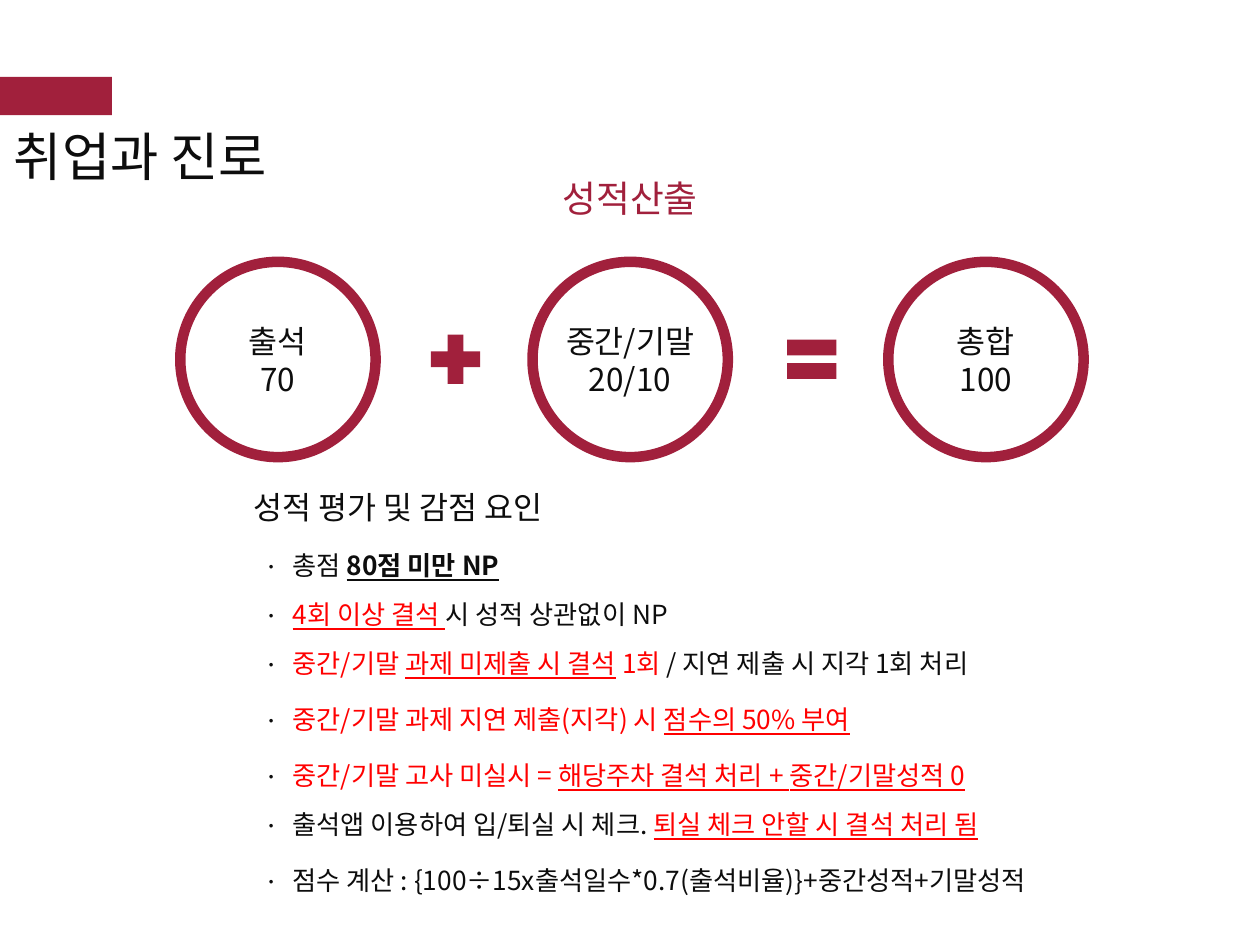
from lxml import etree
from pptx import Presentation
from pptx.dml.color import RGBColor
from pptx.enum.shapes import MSO_SHAPE
from pptx.enum.text import MSO_ANCHOR, MSO_AUTO_SIZE, PP_ALIGN
from pptx.oxml.ns import qn
from pptx.util import Pt

FONT = "Noto Sans CJK KR"
CRIMSON, INK, RED, WHITE = "A1203C", "0D0D0D", "FF0000", "FFFFFF"

CIRCLE_SIZE, CIRCLE_TOP = 111.6, 149.6
CIRCLES = [(103, "출석\n70"), (304.3, "중간/기말\n20/10"), (507.6, "총합\n100")]
OPERATOR_SIZE, OPERATOR_TOP = 38.2, 186.2
OPERATORS = [(241.2, MSO_SHAPE.MATH_PLUS), (444.8, MSO_SHAPE.MATH_EQUAL)]

# Each rule: space before, then spans of (text, colour, bold, underline)
RULES = [
    (0, [("총점 ", INK, False, False), ("80점 미만 NP", INK, True, True)]),
    (0, [("4회 이상 결석 ", RED, False, True),
         ("시 성적 상관없이 NP", INK, False, False)]),
    (0, [("중간/기말 ", RED, False, False),
         ("과제 미제출 시 결석", RED, False, True),
         (" 1회 ", RED, False, False),
         ("/ 지연 제출 시 지각 1회 처리", INK, False, False)]),
    (4, [("중간/기말 과제 지연 제출(지각) 시 ", RED, False, False),
         ("점수의 50% 부여", RED, False, True)]),
    (4, [("중간/기말 고사 미실시 = ", RED, False, False),
         ("해당주차 결석 처리 + 중간/기말성적 0", RED, False, True)]),
    (0, [("출석앱 이용하여 입/퇴실 시 체크. ", INK, False, False),
         ("퇴실 체크 안할 시 결석 처리 됨", RED, False, True)]),
    (4, [("점수 계산 : {100÷15x출석일수*0.7(출석비율)}+중간성적+기말성적",
          INK, False, False)]),
]


def rgb(value):
    return RGBColor.from_string(value)


def style_font(font, size, color, bold=False, underline=False):
    font.name = FONT
    font.size = Pt(size)
    font.bold = bold
    font.underline = underline
    font.color.rgb = rgb(color)


def style_span(span, *style):
    """Format a run, giving its East Asian text the same typeface."""
    style_font(span.font, *style)
    properties = span._r.get_or_add_rPr()
    etree.SubElement(properties, qn("a:ea")).set("typeface", FONT)


def write(box, text, size, color, align, line_spacing=None):
    frame = box.text_frame
    frame.text = text
    for para in frame.paragraphs:
        para.alignment = align
        para.line_spacing = line_spacing
        for span in para.runs:
            style_span(span, size, color)


def place(box, left, top, width, height):
    box.left, box.top = Pt(left), Pt(top)
    box.width, box.height = Pt(width), Pt(height)


def prepare_frame(box, anchor=MSO_ANCHOR.TOP, wrap=True):
    frame = box.text_frame
    frame.auto_size = MSO_AUTO_SIZE.NONE
    frame.vertical_anchor = anchor
    frame.word_wrap = wrap
    return frame


def add_label(page, text, left, top, width, height, *style):
    box = page.shapes.add_textbox(Pt(left), Pt(top), Pt(width), Pt(height))
    prepare_frame(box)
    write(box, text, *style)


def add_block(page, kind, left, top, width, height, fill=CRIMSON):
    shape = page.shapes.add_shape(kind, Pt(left), Pt(top), Pt(width), Pt(height))
    shape.shadow.inherit = False
    shape.fill.solid()
    shape.fill.fore_color.rgb = rgb(fill)
    shape.line.fill.background()
    return shape


def add_score_circle(page, left, text):
    circle = add_block(page, MSO_SHAPE.OVAL, left, CIRCLE_TOP,
                       CIRCLE_SIZE, CIRCLE_SIZE, WHITE)
    circle.line.color.rgb = rgb(CRIMSON)
    circle.line.width = Pt(6)
    prepare_frame(circle, MSO_ANCHOR.MIDDLE, wrap=False)
    write(circle, text, 18, INK, PP_ALIGN.CENTER, Pt(22))


def add_bullet(para, indent):
    properties = para._p.get_or_add_pPr()
    properties.set("marL", str(Pt(indent)))
    properties.set("indent", str(-Pt(indent)))
    color = etree.SubElement(properties, qn("a:buClr"))
    etree.SubElement(color, qn("a:srgbClr")).set("val", INK)
    etree.SubElement(properties, qn("a:buSzPct")).set("val", "107000")
    etree.SubElement(properties, qn("a:buFont")).set("typeface", FONT)
    etree.SubElement(properties, qn("a:buChar")).set("char", "ㆍ")


def fill_rules(body):
    frame = prepare_frame(body)
    for index, (space, spans) in enumerate(RULES):
        para = frame.add_paragraph() if index else frame.paragraphs[0]
        add_bullet(para, 19.6)
        para.alignment = PP_ALIGN.LEFT
        para.line_spacing = Pt(28)
        para.space_before = Pt(space)
        para.space_after = Pt(0)
        for text, *style in spans:
            span = para.add_run()
            span.text = text
            style_span(span, 15, *style)


def main():
    deck = Presentation()
    deck.slide_width, deck.slide_height = Pt(720), Pt(540)
    page = deck.slides.add_slide(deck.slide_layouts[1])
    title, body = page.placeholders

    add_block(page, MSO_SHAPE.RECTANGLE, 0, 44, 64, 21.8)
    place(title, 0.7, 67.4, 332.6, 44)
    prepare_frame(title)
    write(title, "취업과 진로", 30, INK, PP_ALIGN.LEFT)

    add_label(page, "성적산출", 308.2, 96.8, 103.6, 32.4,
              21, CRIMSON, PP_ALIGN.CENTER)
    for left, text in CIRCLES:
        add_score_circle(page, left, text)
    for left, kind in OPERATORS:
        add_block(page, kind, left, OPERATOR_TOP, OPERATOR_SIZE, OPERATOR_SIZE)

    add_label(page, "성적 평가 및 감점 요인", 137.5, 264.5, 450, 40,
              18, INK, PP_ALIGN.LEFT, 1.5)
    place(body, 140.4, 300.5, 579.6, 215)
    fill_rules(body)
    deck.save("out.pptx")


if __name__ == "__main__":
    main()
